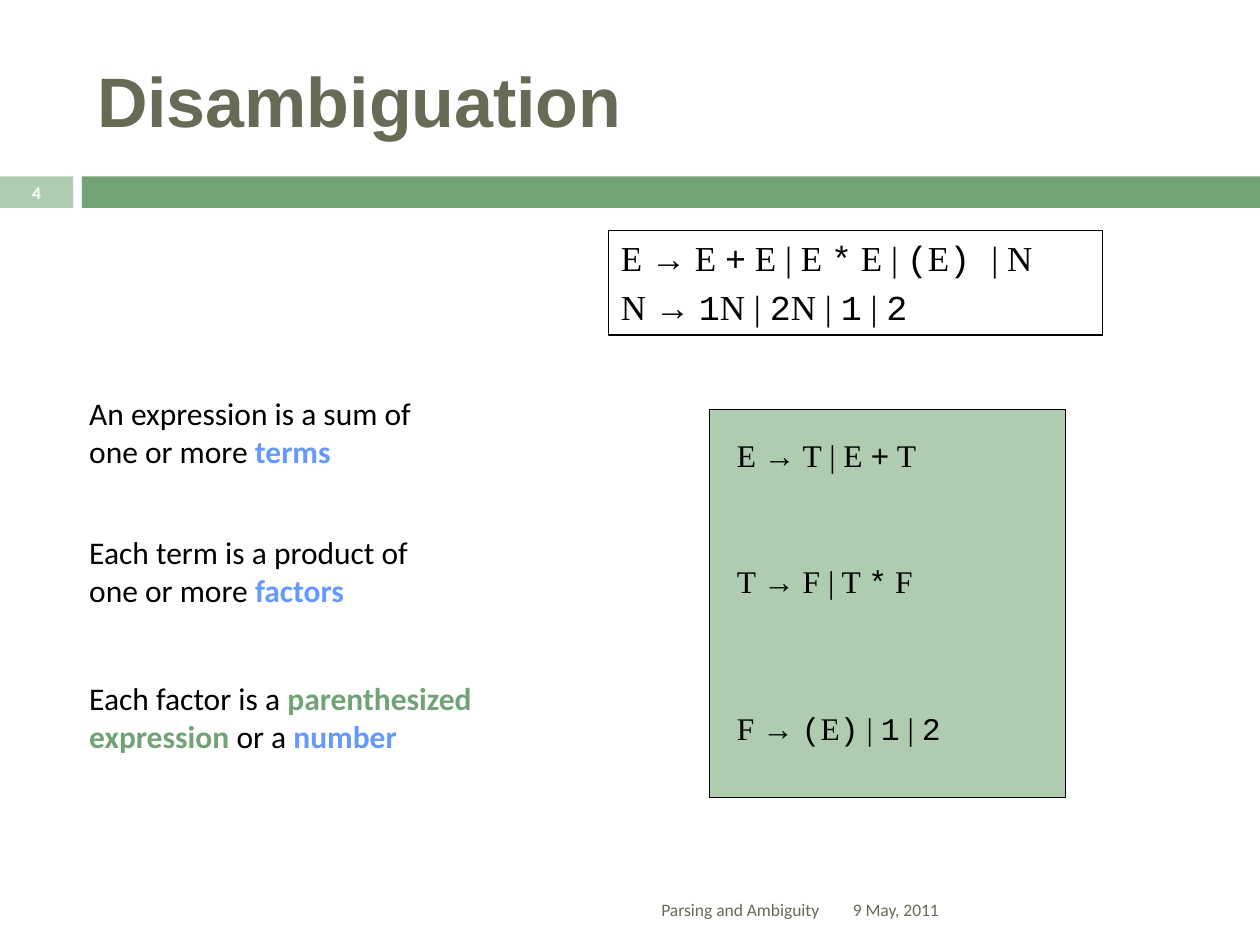
from dataclasses import dataclass
from typing import Optional

from pptx import Presentation
from pptx.dml.color import RGBColor
from pptx.enum.shapes import MSO_SHAPE
from pptx.enum.text import MSO_ANCHOR, MSO_AUTO_SIZE, PP_ALIGN
from pptx.util import Emu, Pt

EMU_PER_PX = 9144


@dataclass(frozen=True)
class Theme:
    black: str = "000000"
    white: str = "FFFFFF"
    olive: str = "676A55"
    green: str = "72A376"
    pale_green: str = "B0CCB0"
    blue: str = "6699FF"
    title_font: str = "Arial"
    body_font: str = "Calibri"
    symbol_font: str = "Times New Roman"
    terminal_font: str = "Courier New"
    title_size: int = 40
    grammar_size: int = 20
    body_size: int = 18
    footer_size: int = 10
    outline: float = 0.75


THEME = Theme()
LINE_BREAK = "\n"


@dataclass(frozen=True)
class Box:
    left: int
    top: int
    width: int
    height: int

    def emu(self) -> tuple[Emu, ...]:
        return tuple(px(value) for value in (self.left, self.top, self.width, self.height))


@dataclass(frozen=True)
class TextRun:
    text: str
    font: str = THEME.body_font
    color: str = THEME.black
    bold: bool = False


@dataclass(frozen=True)
class Label:
    box: Box
    lines: list[list[TextRun]]
    size: int = THEME.body_size
    wrap: bool = False
    anchor: MSO_ANCHOR = MSO_ANCHOR.TOP
    align: PP_ALIGN = PP_ALIGN.LEFT
    space_before: float = 0


def px(value: int) -> Emu:
    return Emu(value * EMU_PER_PX)


def symbol(text: str) -> TextRun:
    return TextRun(text, THEME.symbol_font)


def terminal(text: str) -> TextRun:
    return TextRun(text, THEME.terminal_font)


def strong(text: str, color: str = THEME.blue) -> TextRun:
    return TextRun(text, color=color, bold=True)


def footer(box: Box, run: TextRun, align: PP_ALIGN) -> Label:
    return Label(box, [[run]], THEME.footer_size, True, MSO_ANCHOR.MIDDLE, align)


def add_rectangle(slide, box: Box, fill: Optional[str], outlined: bool = False):
    shape = slide.shapes.add_shape(MSO_SHAPE.RECTANGLE, *box.emu())
    shape.shadow.inherit = False
    if fill:
        shape.fill.solid()
        shape.fill.fore_color.rgb = RGBColor.from_string(fill)
    else:
        shape.fill.background()
    if outlined:
        shape.line.color.rgb = RGBColor.from_string(THEME.black)
        shape.line.width = Pt(THEME.outline)
    else:
        shape.line.fill.background()
    return shape


def write(shape, label: Label) -> None:
    frame = shape.text_frame
    frame.word_wrap = label.wrap
    frame.auto_size = MSO_AUTO_SIZE.NONE
    frame.vertical_anchor = label.anchor
    for index, line in enumerate(label.lines):
        paragraph = frame.add_paragraph() if index else frame.paragraphs[0]
        paragraph.alignment = label.align
        paragraph.space_before = Pt(label.space_before if index else 0)
        for piece in line:
            if piece.text == LINE_BREAK:
                paragraph.add_line_break()
                continue
            run = paragraph.add_run()
            run.text = piece.text
            run.font.name = piece.font
            run.font.size = Pt(label.size)
            run.font.bold = piece.bold
            run.font.color.rgb = RGBColor.from_string(piece.color)


def add_label(slide, label: Label) -> None:
    write(slide.shapes.add_textbox(*label.box.emu()), label)


TITLE = Label(
    Box(67, 25, 892, 108),
    [[TextRun("Disambiguation", THEME.title_font, THEME.olive, True)]],
    THEME.title_size, True, MSO_ANCHOR.MIDDLE,
)

AMBIGUOUS_GRAMMAR = Label(
    Box(483, 183, 392, 83),
    [
        [symbol("E → E "), terminal("+"), symbol(" E | E "), terminal("*"),
         symbol(" E | "), terminal("("), symbol("E"), terminal(") "), symbol("| N")],
        [symbol("N → "), terminal("1"), symbol("N | "), terminal("2"),
         symbol("N | "), terminal("1"), symbol(" | "), terminal("2")],
    ],
    THEME.grammar_size, True, space_before=THEME.grammar_size * 0.2,
)

EXPLANATIONS = [
    Label(Box(61, 308, 316, 71),
          [[TextRun("An expression is a sum of "), TextRun(LINE_BREAK),
            TextRun("one or more "), strong("terms")]]),
    Label(Box(61, 418, 308, 71),
          [[TextRun("Each term is a product of "), TextRun(LINE_BREAK),
            TextRun("one or more "), strong("factors")]]),
    Label(Box(61, 534, 371, 71),
          [[TextRun("Each factor is a "), strong("parenthesized", THEME.green)],
           [strong("expression ", THEME.green), TextRun("or a "), strong("number")]]),
]

RULES = [
    Label(Box(575, 341, 229, 51),
          [[symbol("E → T | E "), terminal("+"), symbol(" T")]]),
    Label(Box(575, 441, 220, 51),
          [[symbol("T → F | T "), terminal("*"), symbol(" F")]]),
    Label(Box(575, 558, 241, 51),
          [[symbol("F → "), terminal("("), symbol("E"), terminal(")"), symbol(" | "),
            terminal("1"), symbol(" | "), terminal("2")]]),
]

FOOTERS = [
    footer(Box(667, 702, 292, 40), TextRun("9 May, 2011", color=THEME.olive), PP_ALIGN.LEFT),
    footer(Box(0, 139, 58, 27), strong("4", THEME.white), PP_ALIGN.CENTER),
    footer(Box(67, 702, 593, 40), TextRun("Parsing and Ambiguity", color=THEME.olive),
           PP_ALIGN.RIGHT),
]


def main() -> None:
    presentation = Presentation()
    presentation.slide_width = px(1000)
    presentation.slide_height = px(750)
    slide = presentation.slides.add_slide(presentation.slide_layouts[5])

    title = slide.shapes.title
    title.left, title.top, title.width, title.height = TITLE.box.emu()
    write(title, TITLE)

    add_rectangle(slide, Box(0, 140, 58, 25), THEME.pale_green)
    add_rectangle(slide, Box(65, 140, 935, 25), THEME.green)
    add_rectangle(slide, Box(563, 325, 283, 308), THEME.pale_green, outlined=True)
    write(add_rectangle(slide, AMBIGUOUS_GRAMMAR.box, None, outlined=True), AMBIGUOUS_GRAMMAR)
    for label in EXPLANATIONS + RULES + FOOTERS:
        add_label(slide, label)

    presentation.save("out.pptx")


if __name__ == "__main__":
    main()
